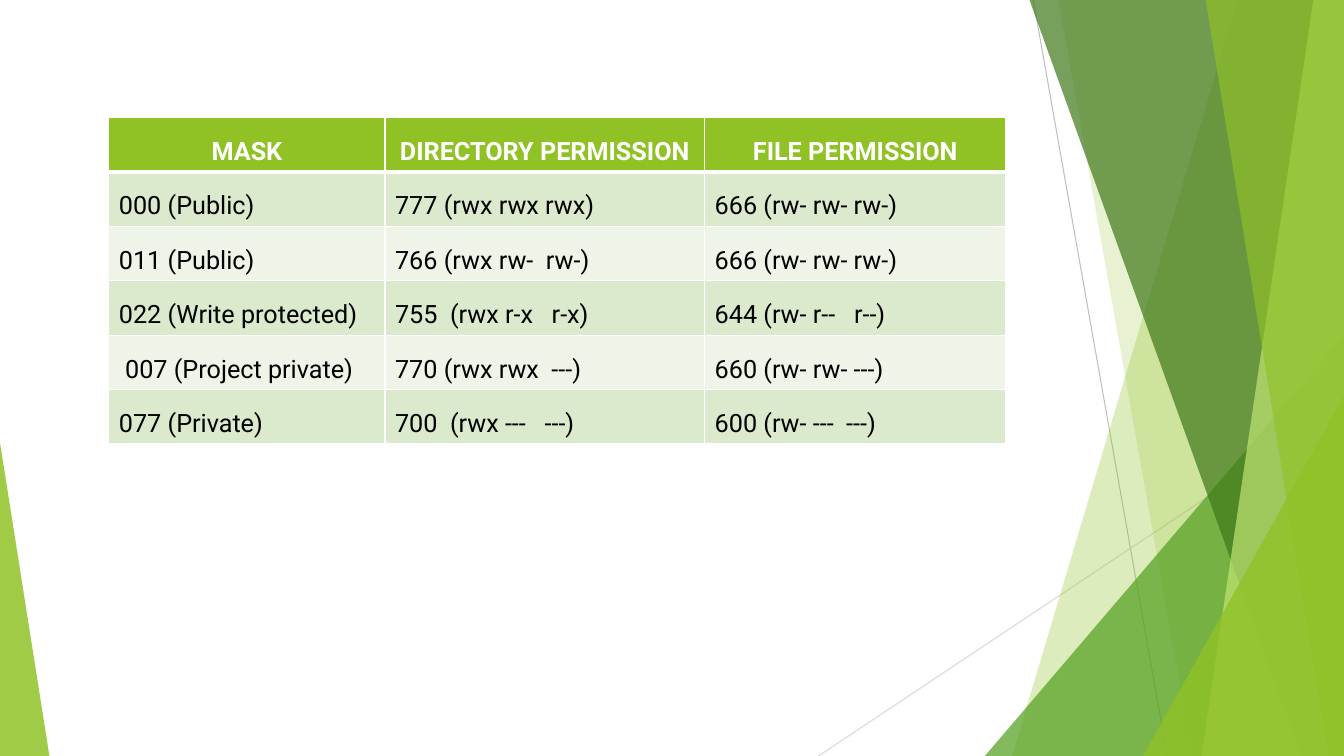
from lxml import etree
from pptx import Presentation
from pptx.dml.color import RGBColor
from pptx.enum.shapes import MSO_CONNECTOR, MSO_SHAPE
from pptx.enum.text import PP_ALIGN
from pptx.oxml.ns import qn
from pptx.util import Inches, Pt

STRAIGHT = MSO_CONNECTOR.STRAIGHT
TRIANGLE = MSO_SHAPE.ISOSCELES_TRIANGLE
LEFT, CENTER = PP_ALIGN.LEFT, PP_ALIGN.CENTER

COLORS = {
    "lime": "90C226", "leaf": "54A021", "forest": "3F7819", "pale": "C0E474",
    "band": "DBE9CD", "light": "EEF4E8", "white": "FFFFFF", "black": "000000",
    "gray": "BFBFBF", "silver": "D9D9D9",
}
HEADER_FONT = {"name": "Roboto", "size": Pt(18), "bold": True}
BODY_FONT = {**HEADER_FONT, "bold": False}

PERMISSIONS = [
    ("MASK", "DIRECTORY PERMISSION", "FILE PERMISSION"),
    ("000 (Public)", "777 (rwx rwx rwx)", "666 (rw- rw- rw-)"),
    ("011 (Public)", "766 (rwx rw-  rw-)", "666 (rw- rw- rw-)"),
    ("022 (Write protected)", "755  (rwx r-x   r-x)", "644 (rw- r--   r--)"),
    (" 007 (Project private)", "770 (rwx rwx  ---)", "660 (rw- rw- ---)"),
    ("077 (Private)", "700  (rwx ---   ---)", "600 (rw- ---  ---)"),
]


class FacetSlide:
    """Draws one slide, with all lengths in percent of the slide's size."""

    def __init__(self):
        self.deck = Presentation()
        self.deck.slide_width, self.deck.slide_height = Inches(13.333), Inches(7.5)
        self.page = self.deck.slides.add_slide(self.deck.slide_layouts[6])
        self.shapes = self.page.shapes

    def x(self, share):
        return round(self.deck.slide_width * share / 100)

    def y(self, share):
        return round(self.deck.slide_height * share / 100)

    def color(self, name):
        return RGBColor.from_string(COLORS[name])

    def line(self, start, end, color):
        line = self.shapes.add_connector(
            STRAIGHT, self.x(start[0]), self.y(start[1]), self.x(end[0]), self.y(end[1]))
        line.line.color.rgb = self.color(color)
        line.line.width = Pt(0.75)
        etree.SubElement(line._element.spPr, qn("a:effectLst"))

    def paint(self, shape, color, opacity):
        shape.shadow.inherit = False
        shape.fill.solid()
        shape.fill.fore_color.rgb = self.color(color)
        tint = shape._element.spPr.find(".//" + qn("a:srgbClr"))
        etree.SubElement(tint, qn("a:alpha"), val=str(opacity * 1000))
        shape.line.fill.background()

    def shard(self, top, bottom, color, opacity):
        outline = self.shapes.build_freeform(self.x(top), self.y(-0.11))
        corners = [(100, -0.11), (100, 100), (bottom, 100)]
        outline.add_line_segments([(self.x(x), self.y(y)) for x, y in corners])
        self.paint(outline.convert_to_shape(), color, opacity)

    def corner(self, left, right, top, peak, color, opacity):
        shape = self.shapes.add_shape(
            TRIANGLE, self.x(left), self.y(top), self.x(right - left), self.y(100 - top))
        shape.adjustments[0] = peak
        self.paint(shape, color, opacity)

    def border(self, cell, widths):
        properties = cell._tc.get_or_add_tcPr()
        for side, width in widths.items():
            edge = etree.SubElement(properties, qn(f"a:ln{side}"), w=str(Pt(width)))
            fill = etree.SubElement(edge, qn("a:solidFill"))
            etree.SubElement(fill, qn("a:srgbClr"), val=COLORS["white"])

    def cell(self, cell, text, fill, font, color, align):
        cell.fill.solid()
        cell.fill.fore_color.rgb = self.color(fill)
        para = cell.text_frame.paragraphs[0]
        para.alignment, para.line_spacing = align, 1.5
        span = para.add_run()
        span.text = text
        for name, value in font.items():
            setattr(span.font, name, value)
        span.font.color.rgb = self.color(color)

    def table(self, left, top, widths, row_height, rows):
        table = self.shapes.add_table(
            len(rows), len(widths), self.x(left), self.y(top),
            self.x(sum(widths)), self.y(row_height * len(rows))).table
        for column, width in zip(table.columns, widths):
            column.width = self.x(width)
        for r, texts in enumerate(rows):
            table.rows[r].height = self.y(row_height)
            fill = "band" if r % 2 else "light"
            look = (fill, BODY_FONT, "black", LEFT) if r else ("lime", HEADER_FONT, "white", CENTER)
            edges = {"L": 1, "R": 1, "T": 3 if r == 1 else 1, "B": 1 if r else 3}
            for c, text in enumerate(texts):
                self.border(table.cell(r, c), edges)
                self.cell(table.cell(r, c), text, *look)


def main():
    slide = FacetSlide()
    slide.line((76.88, 0), (86.85, 100), "gray")
    slide.line((100, 53.73), (60.9, 100), "silver")
    slide.shard(92.1, 75.3, "lime", 30)
    slide.shard(78.75, 88.73, "lime", 20)
    slide.corner(73.28, 100, 44.4, 1, "leaf", 72)
    slide.shard(76.58, 96.83, "forest", 70)
    slide.shard(97.73, 89.4, "pale", 70)
    slide.shard(89.7, 98.85, "lime", 65)
    slide.corner(85.05, 100, 52.4, 1, "lime", 80)
    slide.corner(0, 3.68, 58.53, 0, "lime", 85)
    slide.table(8.1, 15.53, (20.55, 23.78, 22.43), 7.2, PERMISSIONS)
    slide.deck.save("out.pptx")


if __name__ == "__main__":
    main()
